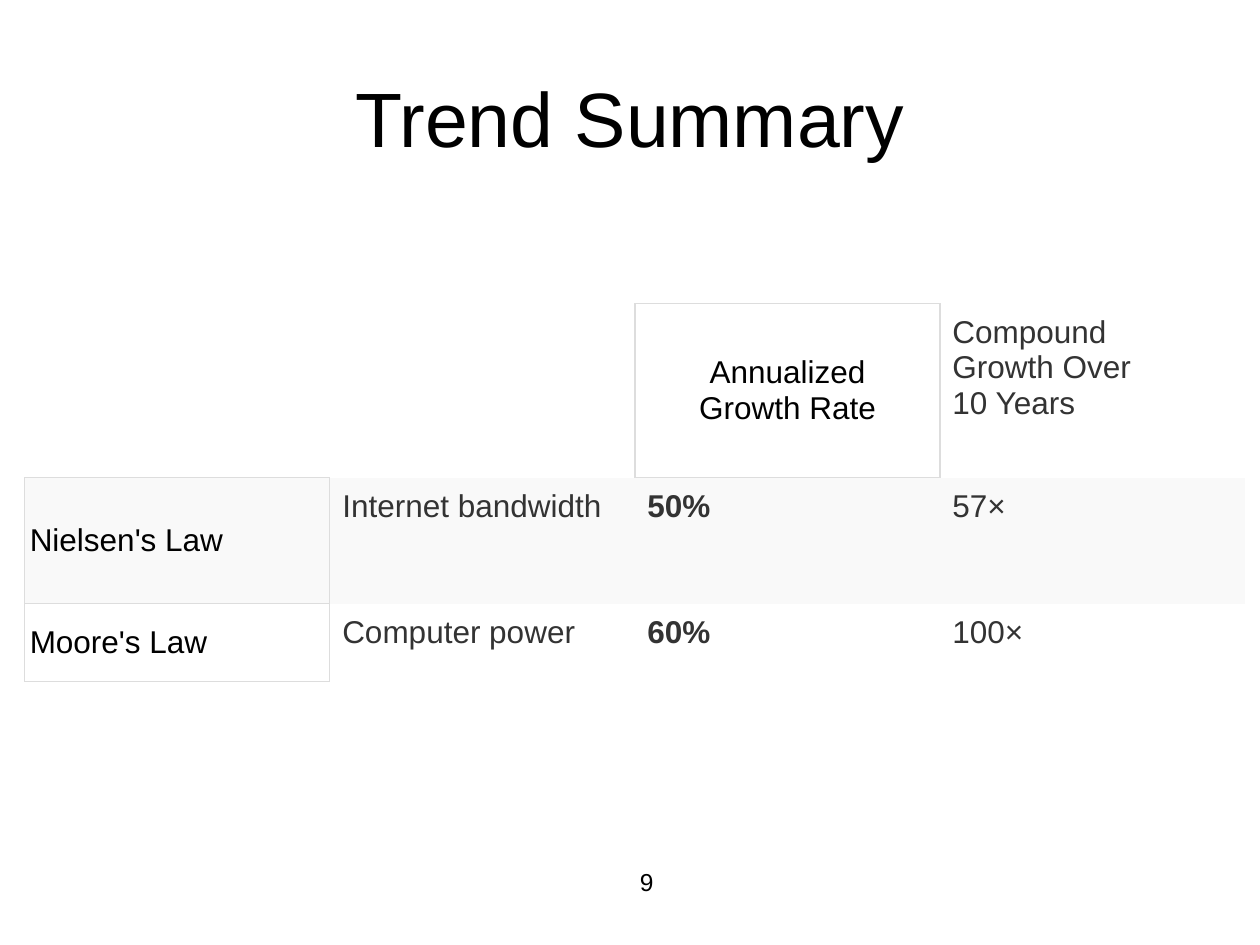
from lxml import etree
from pptx import Presentation
from pptx.dml.color import RGBColor
from pptx.enum.text import MSO_ANCHOR, PP_ALIGN
from pptx.oxml.ns import qn
from pptx.util import Cm, Pt

MIDDLE, TOP = MSO_ANCHOR.MIDDLE, MSO_ANCHOR.TOP
CENTER, LEFT = PP_ALIGN.CENTER, PP_ALIGN.LEFT
FONT = "Arial"
COLORS = {"heading": "000000", "body": "333333", "paper": "FFFFFF",
          "band": "F9F9F9", "border": "DDDDDD"}
TRENDS = [
    ["", "", "Annualized\nGrowth Rate", "Compound\nGrowth Over\n10 Years"],
    ["Nielsen's Law", "Internet bandwidth", "50%", "57×"],
    ["Moore's Law", "Computer power", "60%", "100×"],
]
ROW_HEIGHTS = [3.51, 2.54, 1.57]
HEADINGS = {(0, 2), (1, 0), (2, 0)}
RATE_COLUMN = 2
EDGES = {"a:lnL": (0, -1), "a:lnR": (0, 1), "a:lnT": (-1, 0), "a:lnB": (1, 0)}


def write(paragraph, text, size, color, align=LEFT, bold=False):
    """Fill a paragraph with one run per line of text."""
    paragraph.alignment = align
    for number, line in enumerate(text.split("\n")):
        if number:
            paragraph.add_line_break()
        run = paragraph.add_run()
        run.text = line
        run.font.name = FONT
        run.font.size = Pt(size)
        run.font.bold = bold
        run.font.color.rgb = RGBColor.from_string(COLORS[color])


def add_label(slide, box, text, size, anchor):
    """Place a centred line of text in the given box."""
    frame = slide.shapes.add_textbox(*(Cm(length) for length in box)).text_frame
    frame.word_wrap = True
    frame.vertical_anchor = anchor
    write(frame.paragraphs[0], text, size, "heading", CENTER)


def set_borders(cell, row, column):
    """Rule the edges that a cell shares with a heading and clear the rest."""
    properties = cell._tc.get_or_add_tcPr()
    for position, (tag, (down, right)) in enumerate(EDGES.items()):
        line = etree.Element(qn(tag), w=str(Pt(0.75)))
        if HEADINGS & {(row, column), (row + down, column + right)}:
            fill = etree.SubElement(line, qn("a:solidFill"))
            etree.SubElement(fill, qn("a:srgbClr"), val=COLORS["border"])
        else:
            etree.SubElement(line, qn("a:noFill"))
        properties.insert(position, line)


def style_cell(cell, row, column, text):
    """Set the margins, fill, text and borders of one cell."""
    heading = (row, column) in HEADINGS
    cell.margin_left = cell.margin_right = Cm(0.1 if heading else 0.25)
    cell.margin_top = cell.margin_bottom = Cm(0.1 if heading else 0.23)
    cell.vertical_anchor = MIDDLE if heading else TOP
    cell.fill.solid()
    shade = COLORS["band" if row % 2 else "paper"]
    cell.fill.fore_color.rgb = RGBColor.from_string(shade)
    if text:
        write(cell.text_frame.paragraphs[0], text, 18,
              "heading" if heading else "body",
              CENTER if heading and row == 0 else LEFT,
              bold=row > 0 and column == RATE_COLUMN)
    set_borders(cell, row, column)


def add_trend_table(slide, left, top, width):
    """Place the growth table with equal columns across the given width."""
    columns = len(TRENDS[0])
    table = slide.shapes.add_table(
        len(TRENDS), columns, Cm(left), Cm(top), Cm(width),
        Cm(sum(ROW_HEIGHTS))).table
    table.first_row = table.horz_banding = False
    for column in table.columns:
        column.width = Cm(width / columns)
    for row, (height, texts) in enumerate(zip(ROW_HEIGHTS, TRENDS)):
        table.rows[row].height = Cm(height)
        for column, text in enumerate(texts):
            style_cell(table.cell(row, column), row, column, text)


def main():
    """Build the trend summary slide and save it."""
    deck = Presentation()
    deck.slide_width, deck.slide_height = Cm(25.4), Cm(19.05)
    slide = deck.slides.add_slide(deck.slide_layouts[6])
    add_label(slide, (1.27, 0.76, 22.86, 3.18), "Trend Summary", 44, MIDDLE)
    add_label(slide, (8.69, 17.35, 8.69, 1.32), "9", 14, TOP)
    add_trend_table(slide, 0.5, 6.12, 24.6)
    deck.save("out.pptx")


if __name__ == "__main__":
    main()
